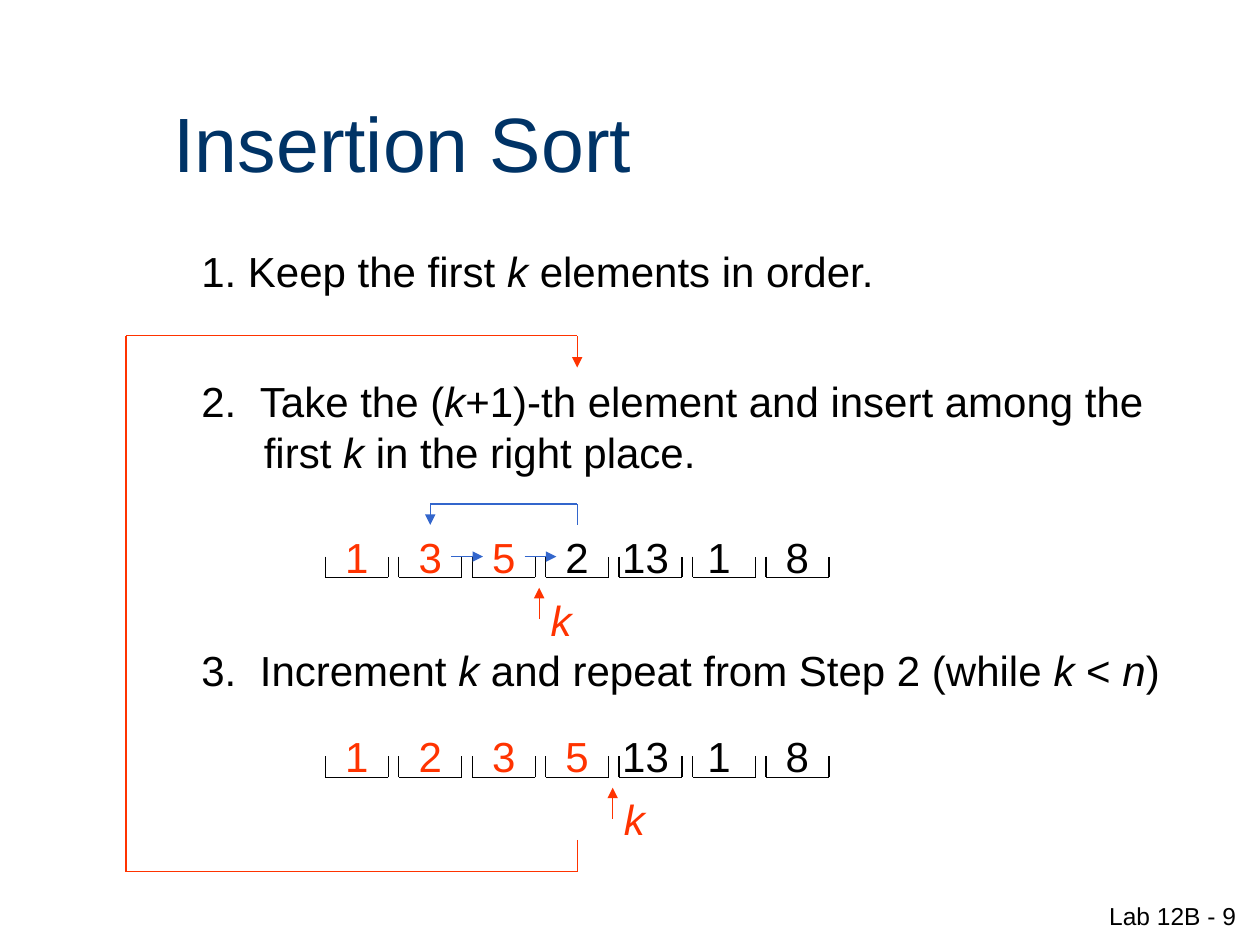
from lxml.etree import SubElement
from pptx import Presentation
from pptx.dml.color import RGBColor
from pptx.enum.shapes import MSO_CONNECTOR
from pptx.enum.text import MSO_ANCHOR, PP_ALIGN
from pptx.oxml.ns import qn
from pptx.util import Cm, Pt

NAVY = RGBColor(0x00, 0x33, 0x66)
BLACK = RGBColor(0x00, 0x00, 0x00)
RED = RGBColor(0xFF, 0x33, 0x00)
BLUE = RGBColor(0x33, 0x66, 0xCC)

# Array grid, in centimetres
ARRAY_LEFT = 6.56
SLOT_WIDTH = 1.27
SLOT_PITCH = 1.48
WIDE_BOX = 1.9
FIRST_ROW = 10.58
SECOND_ROW = 14.61

# Text, left margin, first-line indent (cm), space before (pt); *...* is italic
STEPS = [
    ("1. Keep the first *k* elements in order.", 2.06, -0.79, 0),
    ("2.\tTake the (*k*+1)-th element and insert among the", 2.45, -1.18, 45.5),
    ("first *k* in the right place.", 2.53, 0, 0),
    ("3.\tIncrement *k* and repeat from Step 2 (while *k* < *n*)", 2.45, -1.18, 96),
]


def slot_left(index):
    return ARRAY_LEFT + index * SLOT_PITCH


def slot_centre(index):
    return slot_left(index) + SLOT_WIDTH / 2


def style(paragraph, size, color, align=PP_ALIGN.LEFT):
    paragraph.alignment = align
    paragraph.font.name = "Arial"
    paragraph.font.size = Pt(size)
    paragraph.font.color.rgb = color


def add_frame(page, left, top, width, height):
    box = page.shapes.add_textbox(Cm(left), Cm(top), Cm(width), Cm(height))
    box.text_frame.word_wrap = True
    return box.text_frame


def add_label(page, place, text, size, color, align=PP_ALIGN.CENTER):
    frame = add_frame(page, *place)
    frame.text = text
    style(frame.paragraphs[0], size, color, align)
    return frame


def add_path(shapes, points, color, arrow=False):
    """Join the points with straight lines; the last may carry an arrowhead."""
    for start, end in zip(points, points[1:]):
        line = shapes.add_connector(
            MSO_CONNECTOR.STRAIGHT, *(Cm(value) for value in start + end))
        line.line.color.rgb = color
        line.line.width = Pt(0.75)
        SubElement(line._element.spPr, qn("a:effectLst"))
    if arrow:
        SubElement(line.line._get_or_add_ln(), qn("a:tailEnd"), type="triangle")


def add_steps(page):
    frame = add_frame(page, 2.54, 4.83, 21.59, 12.55)
    for number, (text, margin, indent, space) in enumerate(STEPS):
        para = frame.add_paragraph() if number else frame.paragraphs[0]
        properties = para._p.get_or_add_pPr()
        properties.set("marL", str(Cm(margin)))
        properties.set("indent", str(Cm(indent)))
        para.space_before = Pt(space)
        style(para, 24, BLACK)
        for part, words in enumerate(text.split("*")):
            if words:
                span = para.add_run()
                span.text = words
                span.font.italic = part % 2 == 1


def add_array(page, top, values, sorted_count, k):
    # Slots and values
    for index, value in enumerate(values):
        left, right = slot_left(index), slot_left(index) + SLOT_WIDTH
        upper, lower = top + 0.64, top + 1.06
        group = page.shapes.add_group_shape()
        add_path(group.shapes, [(left, upper), (left, lower),
                                (right, lower), (right, upper)], BLACK)
        wide = index in (4, 5)  # these two sit slightly left of centre
        width = WIDE_BOX if wide else SLOT_WIDTH
        centre = slot_centre(index) - (0.1 if wide else 0)
        add_label(page, (centre - width / 2, top, width, 1.27), value, 24,
                  RED if index < sorted_count else BLACK)
    # Marker for k
    marker = slot_left(k) - 0.13
    add_path(page.shapes, [(marker, top + 1.9), (marker, top + 1.27)], RED, True)
    frame = add_label(page, (slot_left(k) - 0.64, top + 1.27, WIDE_BOX, 1.27),
                      "k", 24, RED)
    frame.paragraphs[0].font.italic = True


def add_moves(page):
    # The taken element goes back over the larger ones
    taken, target = slot_centre(3), slot_centre(1)
    above = FIRST_ROW - 0.42
    add_path(page.shapes, [(taken, FIRST_ROW), (taken, above),
                           (target, above), (target, FIRST_ROW)], BLUE, True)
    # Larger elements shift right
    for index in (1, 2):
        start = slot_centre(index) + 0.42
        add_path(page.shapes, [(start, FIRST_ROW + 0.64),
                               (start + 0.64, FIRST_ROW + 0.64)], BLUE, True)


def add_loop(page):
    middle, left, upper, lower = slot_centre(3), 2.54, 6.77, 17.57
    add_path(page.shapes, [(middle, lower - 0.64), (middle, lower), (left, lower),
                           (left, upper), (middle, upper), (middle, upper + 0.64)],
             RED, True)


def main():
    deck = Presentation()
    deck.slide_width, deck.slide_height = Cm(25.4), Cm(19.05)
    page = deck.slides.add_slide(deck.slide_layouts[6])

    # Title and page label
    title = add_label(page, (3.25, 1.27, 21.59, 3.18), "Insertion Sort", 44, NAVY,
                      PP_ALIGN.LEFT)
    title.vertical_anchor = MSO_ANCHOR.MIDDLE
    add_label(page, (19.89, 18.03, 5.28, 1.27), "Lab 12B - 9", 14, BLACK,
              PP_ALIGN.RIGHT)

    # Steps, arrays and arrows
    add_steps(page)
    add_array(page, FIRST_ROW, ["1", "3", "5", "2", "13", "1", "8"], 3, 3)
    add_array(page, SECOND_ROW, ["1", "2", "3", "5", "13", "1", "8"], 4, 4)
    add_moves(page)
    add_loop(page)

    deck.save("out.pptx")


if __name__ == "__main__":
    main()
